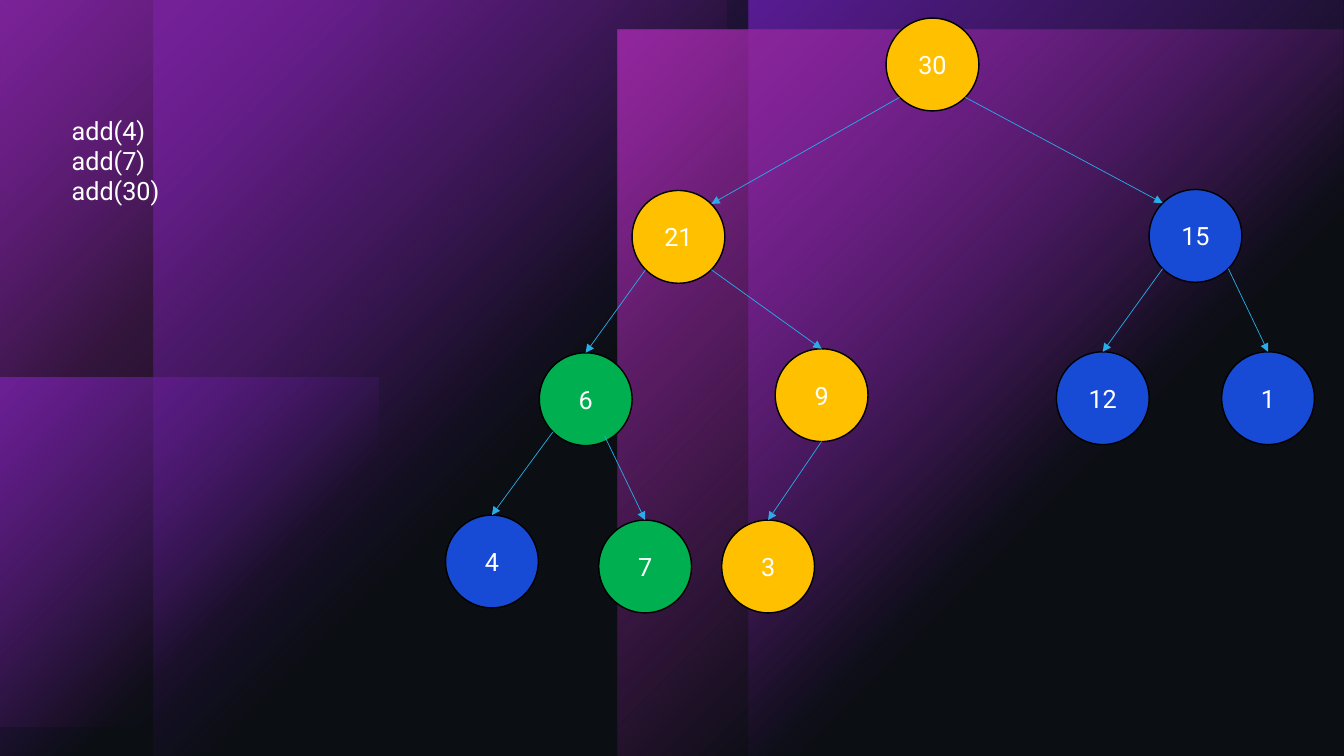
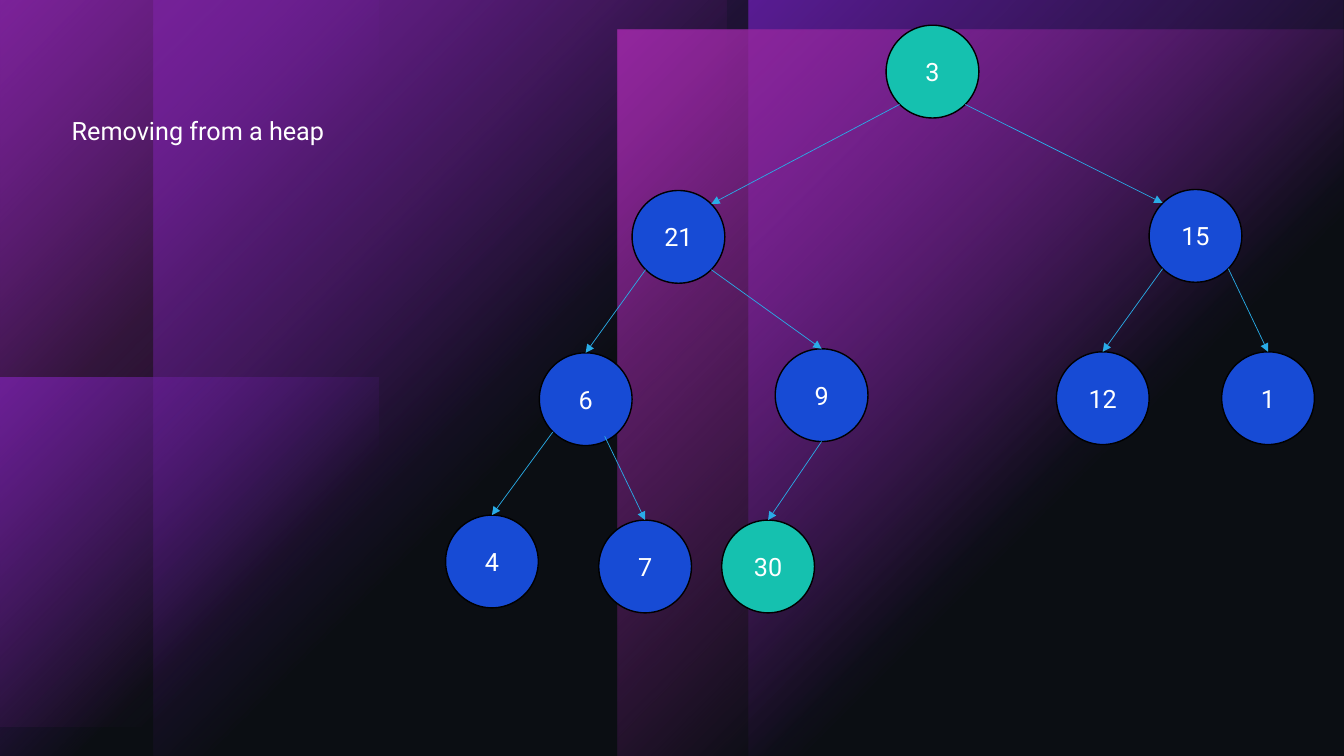
import dataclasses

import pptx
import pptx.dml.color
import pptx.enum.shapes
import pptx.enum.text
import pptx.oxml
import pptx.oxml.ns
import pptx.util


@dataclasses.dataclass(frozen=True)
class Theme:
    back: str = "000000"
    veil: str = "1C2431"
    purple: str = "8217D5"
    pink: str = "E329E7"
    blue: str = "174BD5"
    gold: str = "FFC000"
    green: str = "00B050"
    teal: str = "15C1AF"
    arrow: str = "29ACE7"
    text: str = "FFFFFF"
    edge: str = "000000"
    font: str = "Roboto"
    size: int = 18


look = Theme()
rgb = pptx.dml.color.RGBColor.from_string
qn = pptx.oxml.ns.qn
space = pptx.oxml.ns.nsdecls("a")
align = pptx.enum.text.PP_ALIGN
anchor = pptx.enum.text.MSO_ANCHOR
kind = pptx.enum.shapes.MSO_SHAPE


def write(frame, text, side=align.LEFT, stand=anchor.TOP, wrap=False, fit=False):
    frame.text = text
    frame.word_wrap = wrap
    frame.vertical_anchor = stand
    if fit:
        frame.auto_size = pptx.enum.text.MSO_AUTO_SIZE.SHAPE_TO_FIT_TEXT
    for para in frame.paragraphs:
        para.alignment = side
        para.line_spacing = 1.0
        para.space_before = pptx.util.Pt(0)
        props = para._p.get_or_add_pPr()
        props.set("marL", "0")
        props.set("indent", "0")
        props.append(pptx.oxml.parse_xml(f"<a:buNone {space}/>"))
        for run in para.runs:
            run.font.name = look.font
            run.font.size = pptx.util.Pt(look.size)
            run.font.color.rgb = rgb(look.text)


deck = pptx.Presentation()
deck.slide_width = pptx.util.Inches(13.333)
deck.slide_height = pptx.util.Inches(7.5)
col = deck.slide_width / 100
row = deck.slide_height / 100


def place(x, y, w, h):
    return [round(v) for v in (x * col, y * row, w * col, h * row)]


layout = deck.slide_layouts[1]
master = deck.slide_master
master.background.fill.solid()
master.background.fill.fore_color.rgb = rgb(look.back)

BANDS = [
    (11.4, 0, 44.3, 100, look.purple, 100),
    (55.7, 0, 44.3, 100, look.purple, 100),
    (0, 50, 28.13, 50, look.purple, 100),
    (0, 0, 28.13, 50, look.purple, 100),
    (45.95, 3.87, 54.05, 96.13, look.pink, 100),
    (0, 0, 54.05, 96.13, look.pink, 60),
    (0, 0, 100, 100, look.veil, 40),
]

SLIDES = [
    (1, "add(4)\nadd(7)\nadd(30)", (8.25, 13.47), 8.53,
     {"top": ("30", look.gold), "left": ("21", look.gold),
      "six": ("6", look.green), "nine": ("9", look.gold),
      "seven": ("7", look.green), "last": ("3", look.gold)}),
    (0, "Removing from a heap", (21.6, 5.33), 9.47,
     {"top": ("3", look.teal), "last": ("30", look.teal)}),
]

NODES = {
    "top": ("30", 69.38, 8.53),
    "left": ("21", 50.48, 31.33),
    "six": ("6", 43.58, 52.8),
    "nine": ("9", 61.13, 52.27),
    "right": ("15", 88.95, 31.2),
    "twelve": ("12", 82.05, 52.67),
    "one": ("1", 94.35, 52.67),
    "four": ("4", 36.6, 74.27),
    "seven": ("7", 48, 74.93),
    "last": ("3", 57.15, 74.93),
}

DIAG = 0.71
LINKS = [
    ("top", "left", (-DIAG, DIAG), (DIAG, -DIAG)),
    ("top", "right", (DIAG, DIAG), (-DIAG, -DIAG)),
    ("right", "one", (DIAG, DIAG), None),
    ("right", "twelve", (-DIAG, DIAG), None),
    ("left", "six", (-DIAG, DIAG), None),
    ("left", "nine", (DIAG, DIAG), None),
    ("six", "four", (-DIAG, DIAG), None),
    ("six", "seven", (0.41, 0.8), None),
    ("nine", "last", (0, 1), None),
]

pages = [deck.slides.add_slide(layout) for _ in SLIDES]

for rank, (x, y, w, h, color, alpha) in enumerate(BANDS):
    band = pages[0].shapes.add_shape(kind.RECTANGLE, *place(x, y, w, h))
    band.name = f"Band {rank + 1}"
    band.shadow.inherit = False
    band.line.fill.background()
    if color == look.veil:
        band.fill.solid()
        band.fill.fore_color.rgb = rgb(color)
        tint = next(band.element.spPr.iter(qn("a:srgbClr")))
        tint.append(pptx.oxml.parse_xml(f'<a:alpha {space} val="{alpha * 1000}"/>'))
    else:
        band.fill.gradient()
        stops = "".join(
            f'<a:gs pos="{pos}"><a:srgbClr val="{color}"><a:alpha val="{part * 1000}"/></a:srgbClr></a:gs>'
            for pos, part in ((0, alpha), (60000, 0)))
        blend = pptx.oxml.parse_xml(
            f'<a:gradFill {space} rotWithShape="1"><a:gsLst>{stops}</a:gsLst>'
            '<a:path path="circle"><a:fillToRect r="100000" b="100000"/></a:path></a:gradFill>')
        props = band.element.spPr
        props.replace(props.find(qn("a:gradFill")), blend)
    band.element.nvSpPr.cNvPr.set("id", str(100 + rank))
    master.shapes.element.insert(2 + rank, band.element)

ball = round(6.9 * col)
for page, (slot, text, size, high, marks) in zip(pages, SLIDES):
    for holder in list(page.placeholders):
        if holder.placeholder_format.idx != slot:
            holder.element.getparent().remove(holder.element)
            continue
        holder.left, holder.top, holder.width, holder.height = place(4.58, 14.53, *size)
        write(holder.text_frame, text, fit=True)

    balls = {}
    for name, (label, x, y) in NODES.items():
        label, color = marks.get(name, (label, look.blue))
        y = high if name == "top" else y
        node = page.shapes.add_shape(
            kind.OVAL, round(x * col - ball / 2), round(y * row - ball / 2), ball, ball)
        node.name = f"Node {label}"
        node.shadow.inherit = False
        node.fill.solid()
        node.fill.fore_color.rgb = rgb(color)
        node.line.color.rgb = rgb(look.edge)
        node.line.width = pptx.util.Pt(1)
        write(node.text_frame, label, side=align.CENTER, stand=anchor.MIDDLE, wrap=True)
        balls[name] = node

    for start, end, out, into in LINKS:
        ends = []
        for name, way in ((start, out), (end, into or (0, -1))):
            node = balls[name]
            ends += [round(node.left + ball / 2 * (1 + way[0])),
                     round(node.top + ball / 2 * (1 + way[1]))]
        link = page.shapes.add_connector(pptx.enum.shapes.MSO_CONNECTOR.STRAIGHT, *ends)
        if into is None:
            link.end_connect(balls[end], 0)
        link.line.color.rgb = rgb(look.arrow)
        link.line.width = pptx.util.Pt(0.5)
        props = link.element.spPr
        props.find(qn("a:ln")).append(
            pptx.oxml.parse_xml(f'<a:tailEnd {space} type="triangle"/>'))
        props.append(pptx.oxml.parse_xml(f"<a:effectLst {space}/>"))

deck.save("out.pptx")
